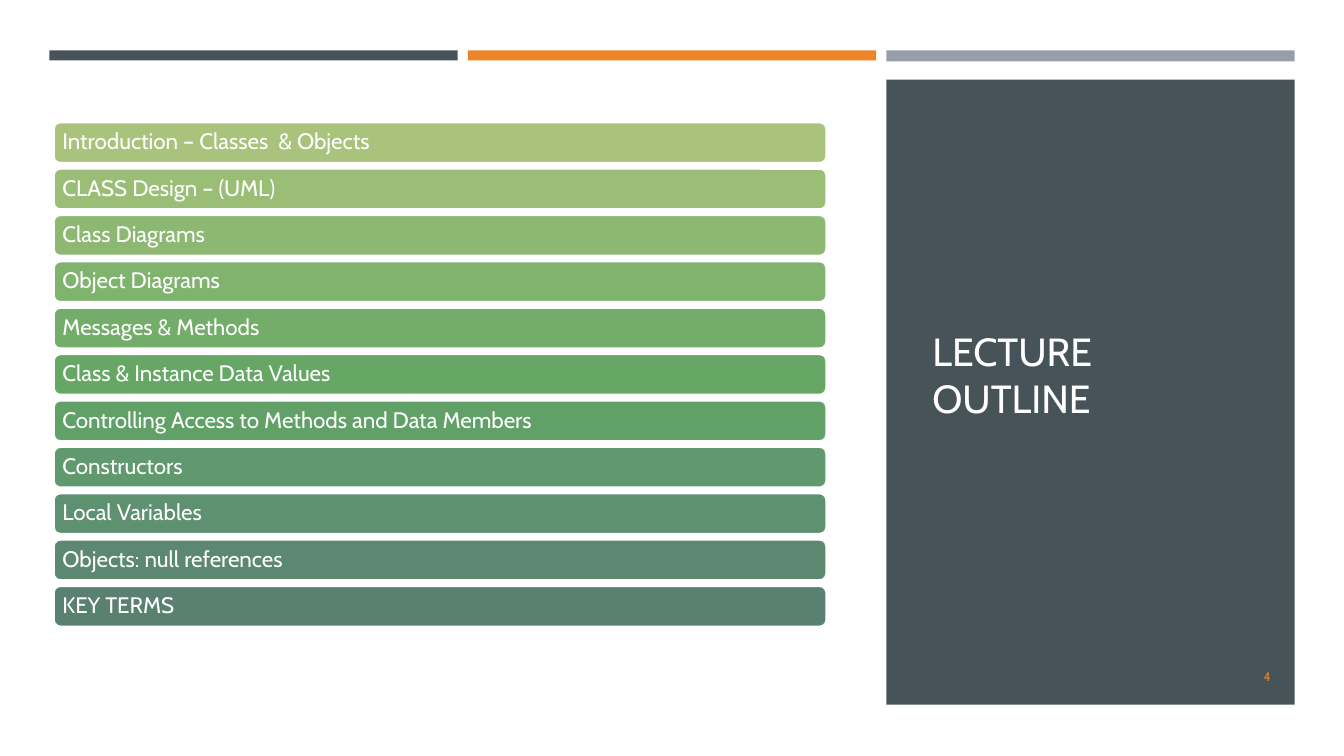
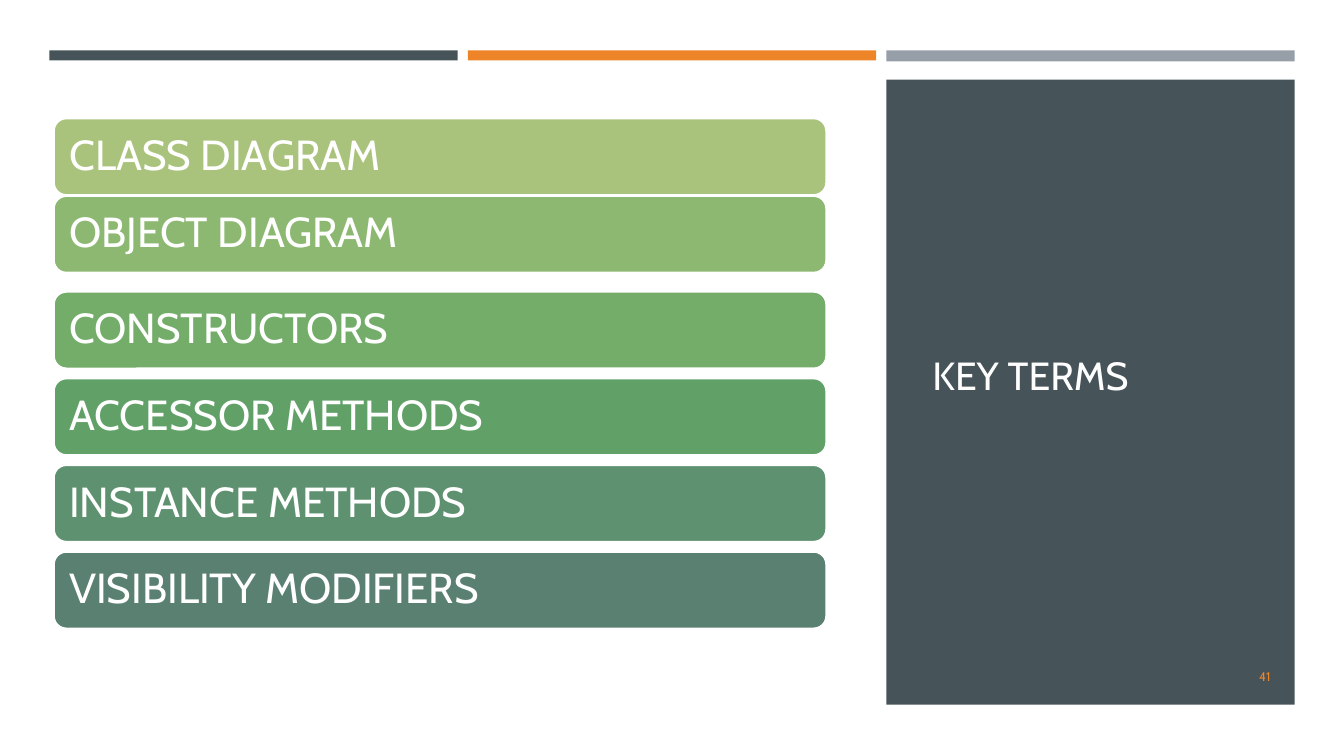
from dataclasses import dataclass, field
from typing import Any

from pptx import Presentation
from pptx.dml.color import RGBColor
from pptx.enum.shapes import MSO_SHAPE as Preset
from pptx.enum.text import MSO_ANCHOR as Anchor, PP_ALIGN as Align
from pptx.util import Inches, Pt

# Shared look
FONT = "Cabin"
COLOURS = {
    "slate": "465359",
    "orange": "ED8428",
    "grey": "969FA7",
    "title": "FFFEFF",
    "white": "FFFFFF",
}
GREENS = ["A9C37C", "9BBE77", "8DB872", "80B36E", "73AD69", "66A765",
          "61A168", "5F996D", "5E9170", "5C8871", "5A8071"]


@dataclass(frozen=True)
class Box:
    left: float
    top: float
    width: float
    height: float

    def lengths(self) -> list[int]:
        return [Inches(v) for v in (self.left, self.top, self.width, self.height)]


@dataclass(frozen=True)
class TextStyle:
    size: float
    colour: str
    inset: float | None = None
    align: Any = Align.LEFT
    line_spacing: float = 1.0


@dataclass(frozen=True)
class Outline:
    """One slide: a stack of topic bars beside a titled panel."""
    title: str
    page: str
    topics: list[str]
    top: float
    pitch: float
    bar_height: float
    bar_style: TextStyle
    nudges: dict[int, float] = field(default_factory=dict)


BANDS = [("slate", 0.1), ("orange", 0.1), ("grey", 0.11)]
BAND_LEFT, BAND_TOP, BAND_WIDTH, BAND_PITCH = 0.49, 0.5, 4.05, 4.15
PANEL = Box(8.79, 0.79, 4.05, 6.2)
TITLE = Box(9.15, 1.14, 3.34, 5.15)
PAGE_NUMBER = Box(11.55, 6.51, 1.15, 0.4)
BAR_LEFT, BAR_WIDTH = 0.53, 7.67
TITLE_STYLE = TextStyle(28, COLOURS["title"])
PAGE_STYLE = TextStyle(9, COLOURS["orange"], align=Align.RIGHT)

OUTLINES = [
    Outline(
        "LECTURE OUTLINE", "4",
        ["Introduction – Classes  & Objects", "CLASS Design – (UML)",
         "Class Diagrams", "Object Diagrams", "Messages & Methods",
         "Class & Instance Data Values",
         "Controlling Access to Methods and Data Members", "Constructors",
         "Local Variables", "Objects: null references", "KEY TERMS"],
        top=1.21, pitch=0.46, bar_height=0.41,
        bar_style=TextStyle(16, COLOURS["white"], 0.07, line_spacing=0.9),
    ),
    Outline(
        "KEY TERMS", "41",
        ["CLASS DIAGRAM", "OBJECT DIAGRAM", "CONSTRUCTORS",
         "ACCESSOR METHODS", "INSTANCE METHODS", "VISIBILITY MODIFIERS"],
        top=1.17, pitch=0.86, bar_height=0.77,
        bar_style=TextStyle(30, COLOURS["white"], 0.12, line_spacing=0.9),
        nudges={1: -0.09},
    ),
]


def set_all(target: Any, formats: dict[str, Any]) -> None:
    for name, value in formats.items():
        setattr(target, name, value)


def write(shape: Any, text: str, style: TextStyle) -> None:
    frame = shape.text_frame
    set_all(frame, {"word_wrap": True, "vertical_anchor": Anchor.MIDDLE})
    if style.inset is not None:
        sides = ("margin_left", "margin_top", "margin_right", "margin_bottom")
        set_all(frame, dict.fromkeys(sides, Inches(style.inset)))
    paragraph = frame.paragraphs[0]
    set_all(paragraph, {"alignment": style.align, "line_spacing": style.line_spacing})
    run = paragraph.add_run()
    run.text = text
    set_all(run.font, {"name": FONT, "size": Pt(style.size)})
    run.font.color.rgb = RGBColor.from_string(style.colour)


def add_block(slide: Any, box: Box, fill: str, preset: Any = Preset.RECTANGLE) -> Any:
    block = slide.shapes.add_shape(preset, *box.lengths())
    block.shadow.inherit = False
    block.fill.solid()
    block.fill.fore_color.rgb = RGBColor.from_string(fill)
    block.line.fill.background()
    return block


def add_label(slide: Any, box: Box, text: str, style: TextStyle) -> None:
    write(slide.shapes.add_textbox(*box.lengths()), text, style)


def add_frame(slide: Any, outline: Outline) -> None:
    # Top bands, side panel and title
    for i, (colour, height) in enumerate(BANDS):
        band = Box(BAND_LEFT + i * BAND_PITCH, BAND_TOP, BAND_WIDTH, height)
        add_block(slide, band, COLOURS[colour])
    add_block(slide, PANEL, COLOURS["slate"])
    add_label(slide, TITLE, outline.title, TITLE_STYLE)
    add_label(slide, PAGE_NUMBER, outline.page, PAGE_STYLE)


def add_topics(slide: Any, outline: Outline) -> None:
    # Bars run through the whole green ramp, evenly sampled
    step = (len(GREENS) - 1) // (len(outline.topics) - 1)
    for i, (topic, green) in enumerate(zip(outline.topics, GREENS[::step])):
        top = outline.top + i * outline.pitch + outline.nudges.get(i, 0)
        box = Box(BAR_LEFT, top, BAR_WIDTH, outline.bar_height)
        bar = add_block(slide, box, green, Preset.ROUNDED_RECTANGLE)
        bar.line.color.rgb = RGBColor.from_string(COLOURS["white"])
        bar.line.width = Pt(2)
        write(bar, topic, outline.bar_style)


def main() -> None:
    deck = Presentation()
    set_all(deck, {"slide_width": Inches(13.33), "slide_height": Inches(7.5)})
    blank = deck.slide_layouts[6]
    for outline in OUTLINES:
        slide = deck.slides.add_slide(blank)
        add_frame(slide, outline)
        add_topics(slide, outline)
    deck.save("out.pptx")


if __name__ == "__main__":
    main()
